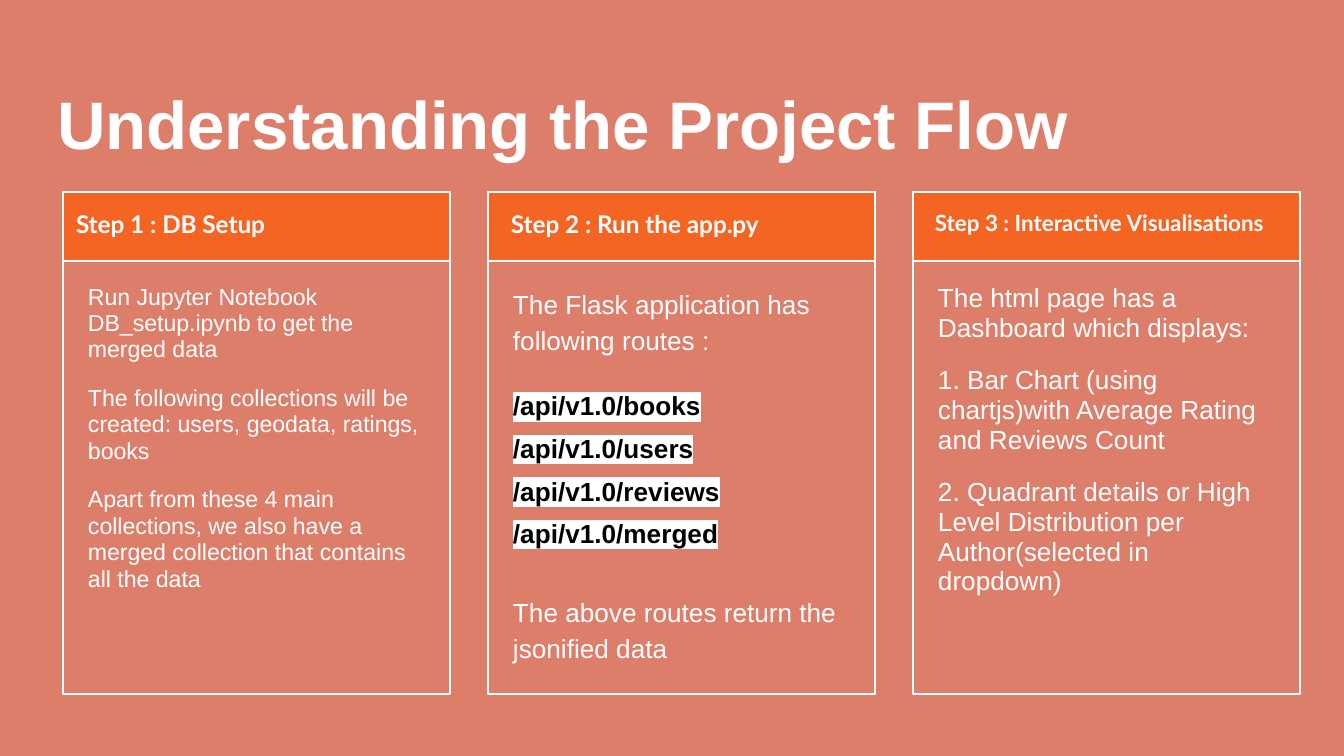
import pptx
import pptx.dml.color
import pptx.enum.shapes
import pptx.enum.text
import pptx.oxml
import pptx.oxml.ns
import pptx.util

SCALE = 914400 / 134.4
INSET = 13
CARD_LEFT, CARD_TOP, CARD_PITCH = 63, 192, 425
CARD_WIDTH, CARD_HEIGHT, HEADER_HEIGHT = 387, 502, 69
BODY_OFFSET, BODY_TOP, BODY_WIDTH, BODY_HEIGHT = 12, 271, 364, 411
WHITE, BLACK, ORANGE, CORAL = "FFFFFF", "000000", "F46524", "DD7E6B"


def px(length):
    return pptx.util.Emu(round(length * SCALE))


def colour(value):
    return pptx.dml.color.RGBColor.from_string(value)


def place(shape, left, top, width, height):
    shape.left, shape.top = px(left), px(top)
    shape.width, shape.height = px(width), px(height)


def prepare_frame(frame, top_inset=INSET):
    frame.word_wrap = True
    frame.auto_size = pptx.enum.text.MSO_AUTO_SIZE.NONE
    frame.vertical_anchor = pptx.enum.text.MSO_ANCHOR.TOP
    frame.margin_left = frame.margin_right = frame.margin_bottom = px(INSET)
    frame.margin_top = px(top_inset)


def add_span(para, text, size, font="Arial", ink=WHITE, bold=False, highlight=None):
    span = para.add_run()
    span.text = text
    span.font.size = pptx.util.Pt(size)
    span.font.name = font
    span.font.bold = bold
    span.font.color.rgb = colour(ink)
    if highlight:
        mark = pptx.oxml.parse_xml(
            f'<a:highlight {pptx.oxml.ns.nsdecls("a")}>'
            f'<a:srgbClr val="{highlight}"/></a:highlight>'
        )
        span.font.fill._xPr.find(pptx.oxml.ns.qn("a:solidFill")).addnext(mark)


def add_para(frame, text, size, spacing=1.0, before=0, **style):
    para = frame.paragraphs[0]
    if para.runs:
        para = frame.add_paragraph()
    para.alignment = pptx.enum.text.PP_ALIGN.LEFT
    para.line_spacing = spacing
    para.space_before = pptx.util.Pt(before)
    add_span(para, text, size, **style)


def add_text_box(page, left, top, width, height):
    box = page.shapes.add_textbox(px(left), px(top), px(width), px(height))
    prepare_frame(box.text_frame)
    return box.text_frame


def add_panel(page, left, height, fill=None):
    panel = page.shapes.add_shape(
        pptx.enum.shapes.MSO_SHAPE.RECTANGLE,
        px(left), px(CARD_TOP), px(CARD_WIDTH), px(height),
    )
    panel.shadow.inherit = False
    if fill:
        panel.fill.solid()
        panel.fill.fore_color.rgb = colour(fill)
    else:
        panel.fill.background()
    panel.line.color.rgb = colour(WHITE)
    panel.line.width = pptx.util.Pt(0.75)


def add_card(page, index, heading, heading_size, offset, width):
    left = CARD_LEFT + index * CARD_PITCH
    add_panel(page, left, HEADER_HEIGHT, ORANGE)
    add_panel(page, left, CARD_HEIGHT)
    header = add_text_box(page, left + offset, CARD_TOP, width, 67)
    add_para(header, heading, heading_size, 1.15, font="Lato", bold=True)
    return add_text_box(page, left + BODY_OFFSET, BODY_TOP, BODY_WIDTH, BODY_HEIGHT)


def add_statements(frame, size, statements):
    for number, text in enumerate(statements):
        add_para(frame, text, size, 0.95, 12 if number else 0)


def add_routes(frame, intro, routes, outcome):
    add_para(frame, intro, 14, 1.15)
    for number, route in enumerate(routes):
        add_para(frame, f"/api/v1.0/{route}", 14, 1.36, 0 if number else 12,
                 ink=BLACK, bold=True, highlight=WHITE)
    add_para(frame, outcome, 14, 1.15, 22.7)


def add_title(page, text):
    title = page.shapes.title
    place(title, 44, 60, 1253, 94)
    prepare_frame(title.text_frame, 22)
    add_para(title.text_frame, text, 36, bold=True)


def main():
    deck = pptx.Presentation()
    deck.slide_width, deck.slide_height = px(1344), px(756)
    page = deck.slides.add_slide(deck.slide_layouts[5])
    page.background.fill.solid()
    page.background.fill.fore_color.rgb = colour(CORAL)
    add_title(page, "Understanding the Project Flow")

    setup = add_card(page, 0, "Step 1 : DB Setup", 13, 0, 375)
    add_statements(setup, 12.4, [
        "Run Jupyter Notebook DB_setup.ipynb to get the merged data",
        "The following collections will be created: users, geodata, ratings, books",
        "Apart from these 4 main collections, we also have a merged collection "
        "that contains all the data",
    ])

    routes = add_card(page, 1, "Step 2 : Run the app.py", 13, 10, 367)
    add_routes(
        routes,
        "The Flask application has following routes :",
        ["books", "users", "reviews", "merged"],
        "The above routes return the jsonified data",
    )

    visuals = add_card(page, 2, "Step 3 : Interactive Visualisations", 12, 9, 367)
    add_statements(visuals, 14, [
        "The html page has a Dashboard which displays:",
        "1. Bar Chart (using chartjs)with Average Rating and Reviews Count",
        "2. Quadrant details or High Level Distribution per "
        "Author(selected in dropdown)",
    ])
    deck.save("out.pptx")


if __name__ == "__main__":
    main()
